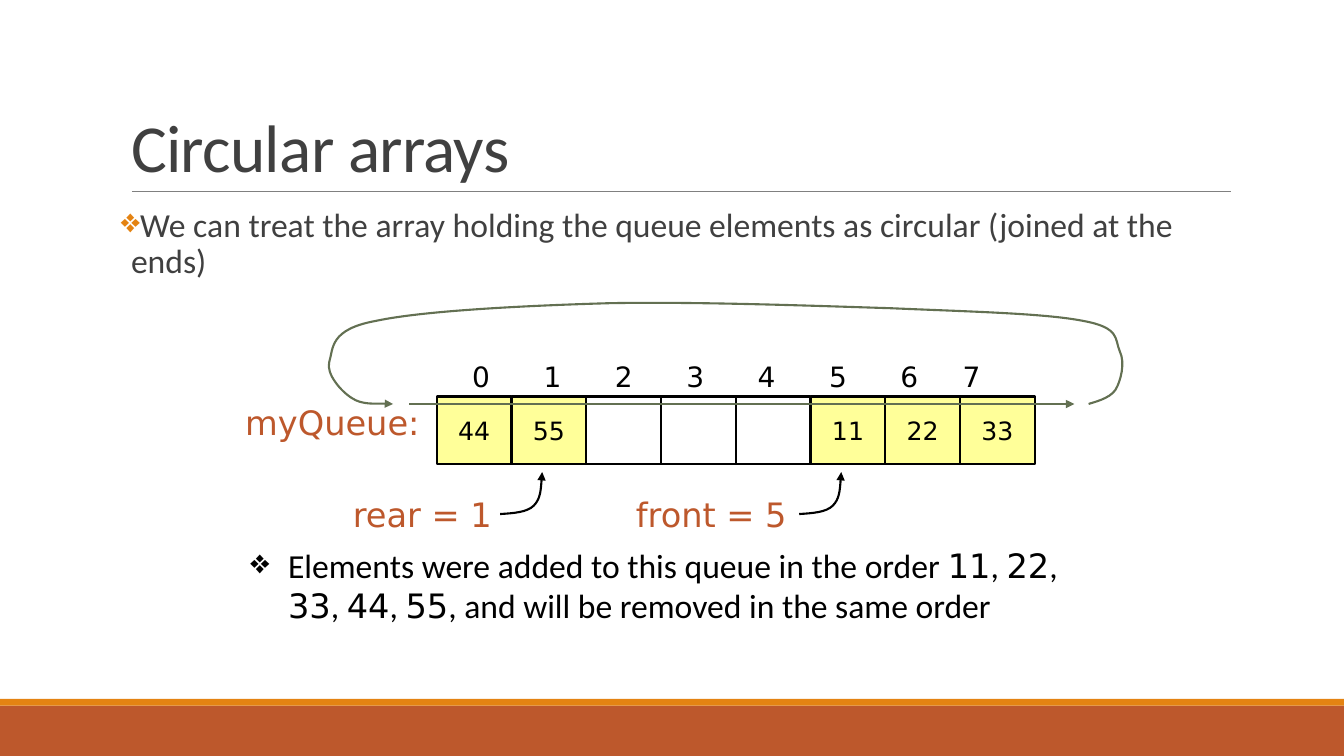
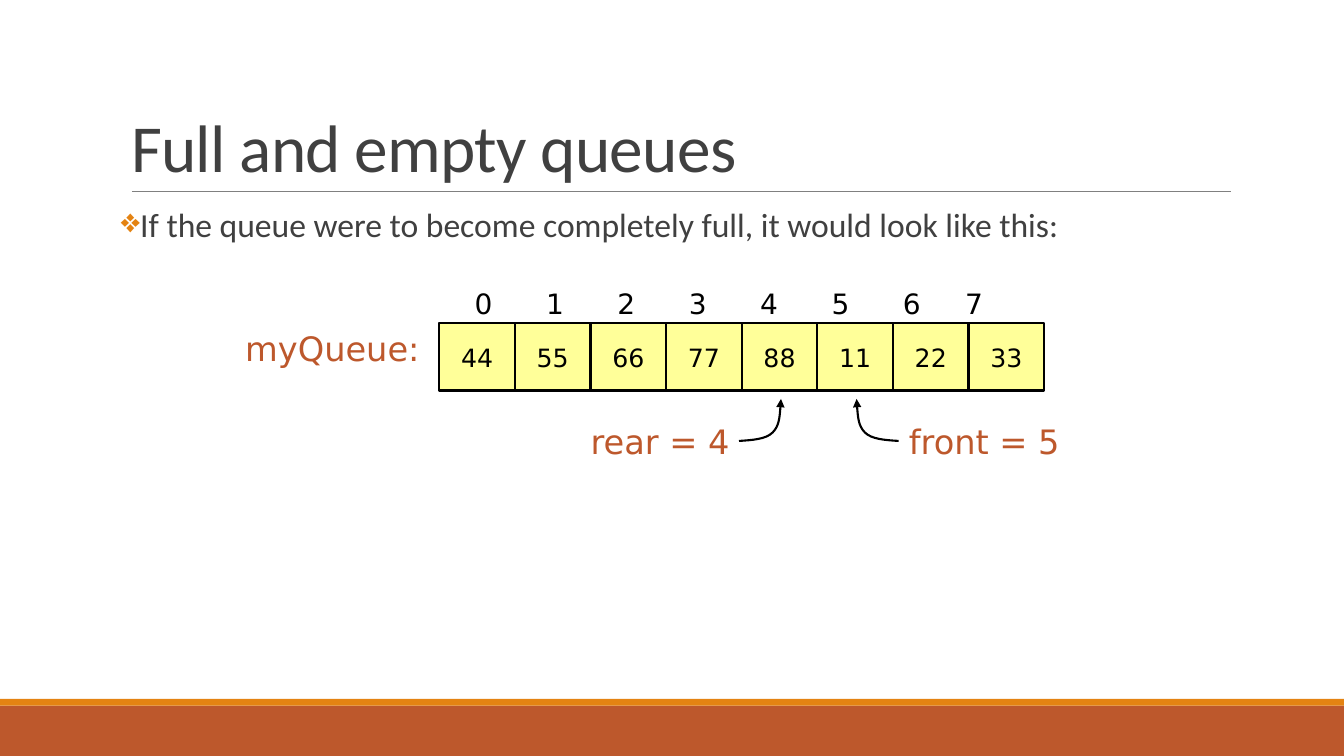
from lxml.etree import SubElement
from pptx import Presentation
from pptx.dml.color import RGBColor
from pptx.enum.shapes import MSO_CONNECTOR, MSO_SHAPE
from pptx.enum.text import MSO_ANCHOR, PP_ALIGN
from pptx.oxml.ns import qn
from pptx.util import Inches, Pt

# Shared style
BLACK = RGBColor(0x00, 0x00, 0x00)
CHARCOAL = RGBColor(0x40, 0x40, 0x40)
GRAY = RGBColor(0x80, 0x80, 0x80)
RUST = RGBColor(0xBD, 0x58, 0x2C)
ORANGE = RGBColor(0xE4, 0x83, 0x12)
YELLOW = RGBColor(0xFF, 0xFF, 0x99)
OLIVE = RGBColor(0x63, 0x70, 0x52)
TEXT_FONT = "Calibri"
CODE_FONT = "DejaVu Sans"

# The slide is a grid of square units
COLUMNS, ROWS = 16, 9
CELL_HEIGHT = 0.8
INDEX_PITCH = 0.85

# Steps of a pointer curve, from its label up to its cell
POINTER_CURVE = [(0, 0), (0.16, -0.01), (0.32, -0.02), (0.4, -0.1),
                 (0.48, -0.18), (0.49, -0.34), (0.5, -0.5)]

# Start point, then two control points and an end point for each bend
LOOP_CURVE = [
    (12.96, 4.81),
    (13.01, 4.79), (13.21, 4.75), (13.28, 4.64),
    (13.34, 4.54), (13.4, 4.32), (13.33, 4.18),
    (13.27, 4.04), (13.34, 3.9), (12.89, 3.82),
    (12.43, 3.73), (11.54, 3.71), (10.61, 3.67),
    (9.66, 3.64), (8.27, 3.59), (7.25, 3.61),
    (6.23, 3.64), (5.04, 3.7), (4.48, 3.82),
    (3.92, 3.92), (3.97, 4.15), (3.92, 4.31),
    (3.88, 4.45), (4.06, 4.66), (4.19, 4.74),
    (4.31, 4.82), (4.57, 4.8), (4.68, 4.81),
]


class Deck:
    """Holds the style, the grid and the current slide."""

    def __init__(self):
        self.presentation = Presentation()
        self.presentation.slide_width = Inches(13.33)
        self.presentation.slide_height = Inches(7.5)
        self.slide = None

    def x(self, columns):
        return round(self.presentation.slide_width * columns / COLUMNS)

    def y(self, rows):
        return round(self.presentation.slide_height * rows / ROWS)

    def frame(self, left, top, width, height):
        return self.x(left), self.y(top), self.x(width), self.y(height)

    # Slide with its bands, rule, title and opening bullet
    def new_slide(self, title, statement):
        self.slide = self.presentation.slides.add_slide(
            self.presentation.slide_layouts[6])
        self.box(0, 8.4, COLUMNS, 0.6, RUST)
        self.box(0, 8.32, COLUMNS, 0.08, ORANGE)
        self.line(1.57, 14.65, 2.28, GRAY, 0.5)
        paragraph = self.text(1.44, 2.42, 13.2, 5.28, side_inset=0)
        self.bullet(paragraph, 0.12, ORANGE)
        paragraph.line_spacing = 0.9
        self.run(paragraph, statement, 24, CHARCOAL)
        paragraph = self.text(1.44, 0.37, 13.2, 1.91, MSO_ANCHOR.BOTTOM)
        paragraph.line_spacing = 0.85
        run = self.run(paragraph, title, 48, CHARCOAL)
        run._r.get_or_add_rPr().set("spc", "-50")

    # Text
    def text(self, left, top, width, height, anchor=MSO_ANCHOR.TOP,
             side_inset=0.12):
        shape = self.slide.shapes.add_textbox(
            *self.frame(left, top, width, height))
        text_frame = shape.text_frame
        text_frame.word_wrap = True
        text_frame.vertical_anchor = anchor
        text_frame.margin_left = text_frame.margin_right = self.x(side_inset)
        return text_frame.paragraphs[0]

    def run(self, paragraph, words, size, color, font=TEXT_FONT):
        run = paragraph.add_run()
        run.text = words
        run.font.name = font
        run.font.size = Pt(size)
        run.font.color.rgb = color
        return run

    def label(self, words, left, top, width):
        paragraph = self.text(left, top, width, 0.6)
        self.run(paragraph, words, 24, RUST, CODE_FONT)

    def bullet(self, paragraph, indent, color):
        properties = paragraph._p.get_or_add_pPr()
        properties.set("marL", str(self.x(indent)))
        properties.set("indent", str(-self.x(indent)))
        bullet_color = SubElement(properties, qn("a:buClr"))
        SubElement(bullet_color, qn("a:srgbClr"), val=str(color))
        SubElement(properties, qn("a:buChar"), char="❖")

    def tab_stops(self, paragraph, stops):
        tab_list = SubElement(paragraph._p.get_or_add_pPr(), qn("a:tabLst"))
        for stop in stops:
            SubElement(tab_list, qn("a:tab"), pos=str(self.x(stop)), algn="l")

    # Shapes and lines
    def box(self, left, top, width, height, fill=None, outline=None):
        shape = self.slide.shapes.add_shape(
            MSO_SHAPE.RECTANGLE, *self.frame(left, top, width, height))
        shape.shadow.inherit = False
        if fill is None:
            shape.fill.background()
        else:
            shape.fill.solid()
            shape.fill.fore_color.rgb = fill
        if outline is None:
            shape.line.fill.background()
        else:
            self.stroke(shape, outline, 1.5)
        return shape

    def stroke(self, shape, color, width, arrow=False):
        shape.line.color.rgb = color
        shape.line.width = Pt(width)
        if arrow:
            SubElement(shape.line._get_or_add_ln(), qn("a:tailEnd"),
                       type="triangle")

    def line(self, left, right, row, color, width, arrow=False):
        connector = self.slide.shapes.add_connector(
            MSO_CONNECTOR.STRAIGHT, self.x(left), self.y(row),
            self.x(right), self.y(row))
        self.stroke(connector, color, width, arrow)
        SubElement(connector._element.spPr, qn("a:effectLst"))

    def curve(self, points, color):
        start, *others = [(self.x(column), self.y(row))
                          for column, row in points]
        builder = self.slide.shapes.build_freeform(*start)
        builder.add_line_segments(others, close=False)
        shape = builder.convert_to_shape()
        # Every three segments become one Bezier bend
        segments = list(shape._element.iter(qn("a:lnTo")))
        outline = segments[0].getparent()
        for first in range(0, len(segments), 3):
            bend = SubElement(outline, qn("a:cubicBezTo"))
            for segment in segments[first:first + 3]:
                bend.append(segment[0])
                outline.remove(segment)
        shape.shadow.inherit = False
        shape.fill.background()
        self.stroke(shape, color, 1.5, arrow=True)

    # Queue: cells, indexes, name and pointers
    def queue(self, left, top, cell_width, values, pointers, tip_share):
        for index, value in enumerate(values):
            shape = self.box(left + index * cell_width, top, cell_width,
                             CELL_HEIGHT, YELLOW if value else None, BLACK)
            if value:
                text_frame = shape.text_frame
                text_frame.word_wrap = False
                text_frame.vertical_anchor = MSO_ANCHOR.MIDDLE
                paragraph = text_frame.paragraphs[0]
                paragraph.alignment = PP_ALIGN.CENTER
                self.run(paragraph, value, 18, BLACK, CODE_FONT)

        last = len(values) - 1
        paragraph = self.text(left + 0.3, top - 0.5, 6.9, 0.52)
        stops = [index * INDEX_PITCH for index in range(1, last)]
        self.tab_stops(paragraph, stops + [last * INDEX_PITCH - 0.11])
        indexes = "\t".join(str(index) for index in range(len(values)))
        self.run(paragraph, indexes, 20, BLACK, CODE_FONT)

        self.label("myQueue:", 2.8, top, 2.5)
        for name, index, label_left, direction in pointers:
            self.label(f"{name} = {index}", label_left, top + 1.1, 2.2)
            start = left + (index + tip_share) * cell_width - direction * 0.5
            self.curve([(start + direction * across, top + 1.4 + down)
                        for across, down in POINTER_CURVE], BLACK)


def circular_arrays(deck):
    deck.new_slide("Circular arrays",
                   "We can treat the array holding the queue elements as "
                   "circular (joined at the ends)")
    deck.queue(5.2, 4.72, 0.89,
               ["44", "55", "", "", "", "11", "22", "33"],
               [("rear", 1, 4.08, 1), ("front", 5, 7.45, 1)], 0.41)
    # Path through the array and back to its start
    deck.line(4.87, 12.79, 4.81, OLIVE, 2, arrow=True)
    deck.curve(LOOP_CURVE, OLIVE)
    # Order of the elements
    paragraph = deck.text(2.86, 6.43, 10.45, 1.8)
    deck.bullet(paragraph, 0.45, BLACK)
    deck.run(paragraph, "Elements were added to this queue in the order ",
             24, BLACK)
    for value, following in [
            ("11", ", "), ("22", ", "), ("33", ", "), ("44", ", "),
            ("55", ", and will be removed in the same order")]:
        deck.run(paragraph, value, 24, BLACK, CODE_FONT)
        deck.run(paragraph, following, 24, BLACK)


def full_and_empty_queues(deck):
    deck.new_slide("Full and empty queues",
                   "If the queue were to become completely full, it would "
                   "look like this:")
    deck.queue(5.23, 3.85, 0.9,
               ["44", "55", "66", "77", "88", "11", "22", "33"],
               [("rear", 4, 6.91, 1), ("front", 5, 10.7, -1)], 0.52)


def main():
    deck = Deck()
    circular_arrays(deck)
    full_and_empty_queues(deck)
    deck.presentation.save("out.pptx")


if __name__ == "__main__":
    main()
